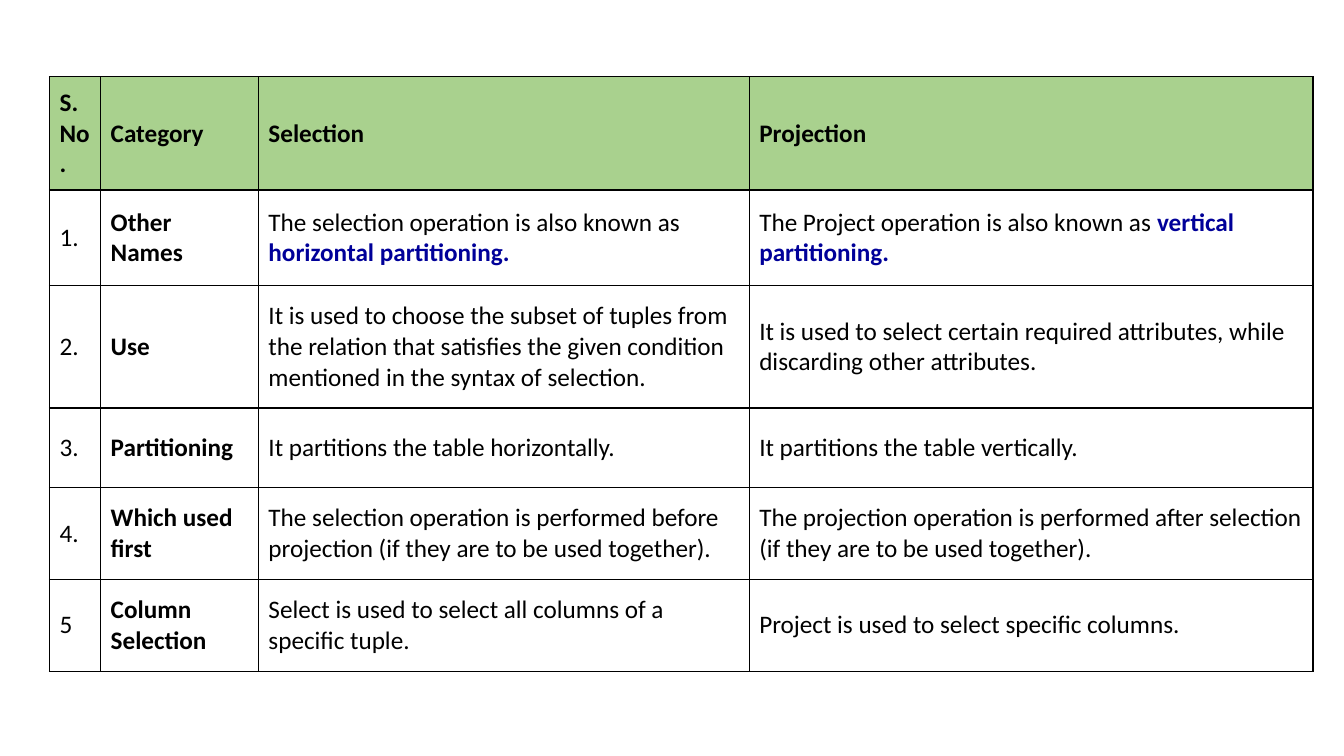
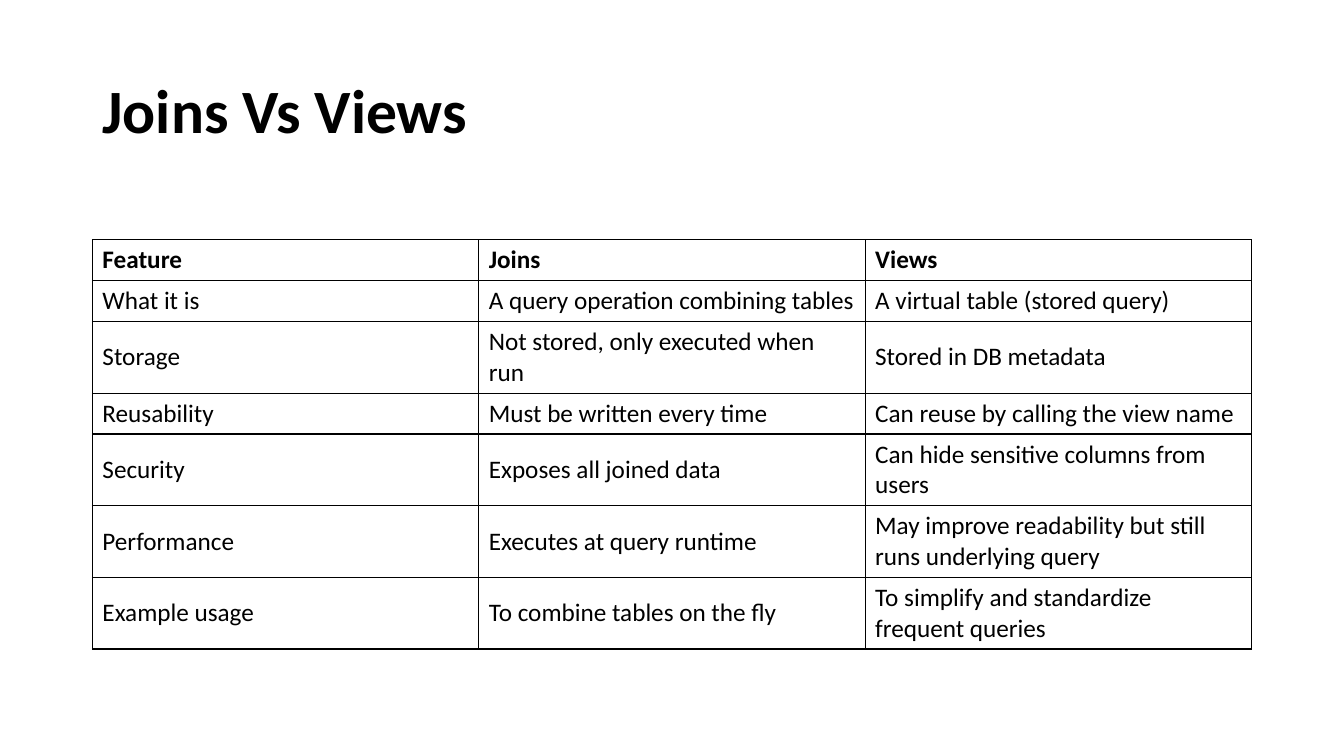
from lxml import etree
from pptx import Presentation
from pptx.dml.color import RGBColor
from pptx.enum.text import MSO_ANCHOR, MSO_AUTO_SIZE, PP_ALIGN
from pptx.oxml.ns import qn
from pptx.util import Pt

MIDDLE = MSO_ANCHOR.MIDDLE
LEFT = PP_ALIGN.LEFT
NO_FIT = MSO_AUTO_SIZE.NONE
TITLE_ONLY, BLANK = 5, 6

FONT = "Calibri"
BLACK, GREEN, NAVY = "000000", "A9D18E", "000099"
BORDER_WIDTH = Pt(1)
INSET = 7.2

# Content: a cell is a string, or a tuple of plain text and highlighted text
OPERATIONS = [
    ["S. No.", "Category", "Selection", "Projection"],
    ["1.", "Other Names",
     ("The selection operation is also known as ", "horizontal partitioning."),
     ("The Project operation is also known as ", "vertical partitioning.")],
    ["2.", "Use",
     "It is used to choose the subset of tuples from the relation that "
     "satisfies the given condition mentioned in the syntax of selection.",
     "It is used to select certain required attributes, while discarding "
     "other attributes."],
    ["3.", "Partitioning", "It partitions the table horizontally.",
     "It partitions the table vertically."],
    ["4.", "Which used first",
     "The selection operation is performed before projection "
     "(if they are to be used together).",
     "The projection operation is performed after selection "
     "(if they are to be used together)."],
    ["5", "Column Selection",
     "Select is used to select all columns of a specific tuple.",
     "Project is used to select specific columns."],
]
JOINS_TITLE = "Joins Vs Views"
JOINS = [
    ["Feature", "Joins", "Views"],
    ["What it is", "A query operation combining tables",
     "A virtual table (stored query)"],
    ["Storage", "Not stored, only executed when run", "Stored in DB metadata"],
    ["Reusability", "Must be written every time",
     "Can reuse by calling the view name"],
    ["Security", "Exposes all joined data",
     "Can hide sensitive columns from users"],
    ["Performance", "Executes at query runtime",
     "May improve readability but still runs underlying query"],
    ["Example usage", "To combine tables on the fly",
     "To simplify and standardize frequent queries"],
]


def rgb(color):
    return RGBColor.from_string(color)


def add_text(para, text, size=18, color=BLACK, bold=False):
    span = para.add_run()
    span.text = text
    span.font.name = FONT
    span.font.size = Pt(size)
    span.font.bold = bold
    span.font.color.rgb = rgb(color)


def add_borders(cell):
    properties = cell._tc.get_or_add_tcPr()
    for side in ("lnL", "lnR", "lnT", "lnB"):
        line = etree.SubElement(properties, qn("a:" + side), w=str(BORDER_WIDTH))
        fill = etree.SubElement(line, qn("a:solidFill"))
        etree.SubElement(fill, qn("a:srgbClr"), val=BLACK)


def fill_cell(cell, content, bold, fill, inset_y):
    cell.vertical_anchor = MIDDLE
    cell.margin_left = cell.margin_right = Pt(INSET)
    cell.margin_top = cell.margin_bottom = Pt(inset_y)
    add_borders(cell)
    if fill:
        cell.fill.solid()
        cell.fill.fore_color.rgb = rgb(fill)
    else:
        cell.fill.background()
    para = cell.text_frame.paragraphs[0]
    plain, *highlights = (content,) if isinstance(content, str) else content
    add_text(para, plain, bold=bold)
    for highlight in highlights:
        add_text(para, highlight, color=NAVY, bold=True)


def add_grid(slide, rows, left, top, widths, heights, header_fill=None,
             header_inset=3.6, body_inset=3.6, bold_column=None):
    table = slide.shapes.add_table(
        len(rows), len(widths), Pt(left), Pt(top),
        Pt(sum(widths)), Pt(sum(heights))).table
    table.first_row = table.horz_banding = False
    for column, width in zip(table.columns, widths):
        column.width = Pt(width)
    for r, (row, height) in enumerate(zip(rows, heights)):
        table.rows[r].height = Pt(height)
        header = r == 0
        for c, content in enumerate(row):
            fill_cell(table.cell(r, c), content,
                      bold=header or c == bold_column,
                      fill=header_fill if header else None,
                      inset_y=header_inset if header else body_inset)


def set_title(slide, text, left, top, width, height):
    title = slide.shapes.title
    title.left, title.top = Pt(left), Pt(top)
    title.width, title.height = Pt(width), Pt(height)
    frame = title.text_frame
    frame.word_wrap = True
    frame.auto_size = NO_FIT
    frame.vertical_anchor = MIDDLE
    para = frame.paragraphs[0]
    para.alignment = LEFT
    para.line_spacing = 0.9
    add_text(para, text, size=44, bold=True)


def main():
    deck = Presentation()
    deck.slide_width, deck.slide_height = Pt(960), Pt(540)

    # Selection and projection
    page = deck.slides.add_slide(deck.slide_layouts[BLANK])
    add_grid(page, OPERATIONS, 35.4, 54.8,
             widths=[36.5, 112.7, 350.6, 402.8],
             heights=[81, 68.2, 87, 56.8, 64.8, 64.8],
             header_fill=GREEN, header_inset=INSET, body_inset=10.8,
             bold_column=1)

    # Joins and views
    page = deck.slides.add_slide(deck.slide_layouts[TITLE_ONLY])
    left, width = 66, 828
    set_title(page, JOINS_TITLE, left, 28.8, width, 104.4)
    one_line, two_lines = 29.2, 51.2
    add_grid(page, JOINS, left, 171.2, widths=[width / 3] * 3,
             heights=[one_line, one_line, two_lines, one_line] + [two_lines] * 3)

    deck.save("out.pptx")


if __name__ == "__main__":
    main()
